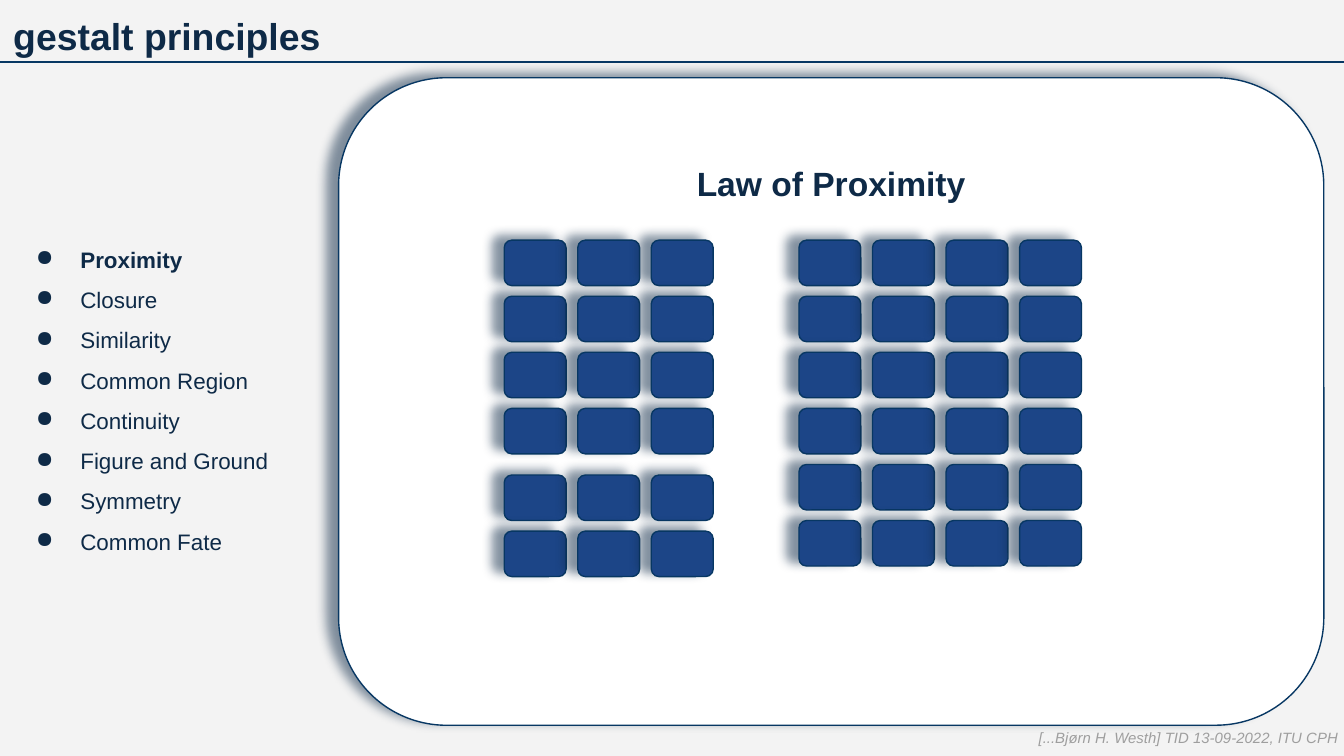
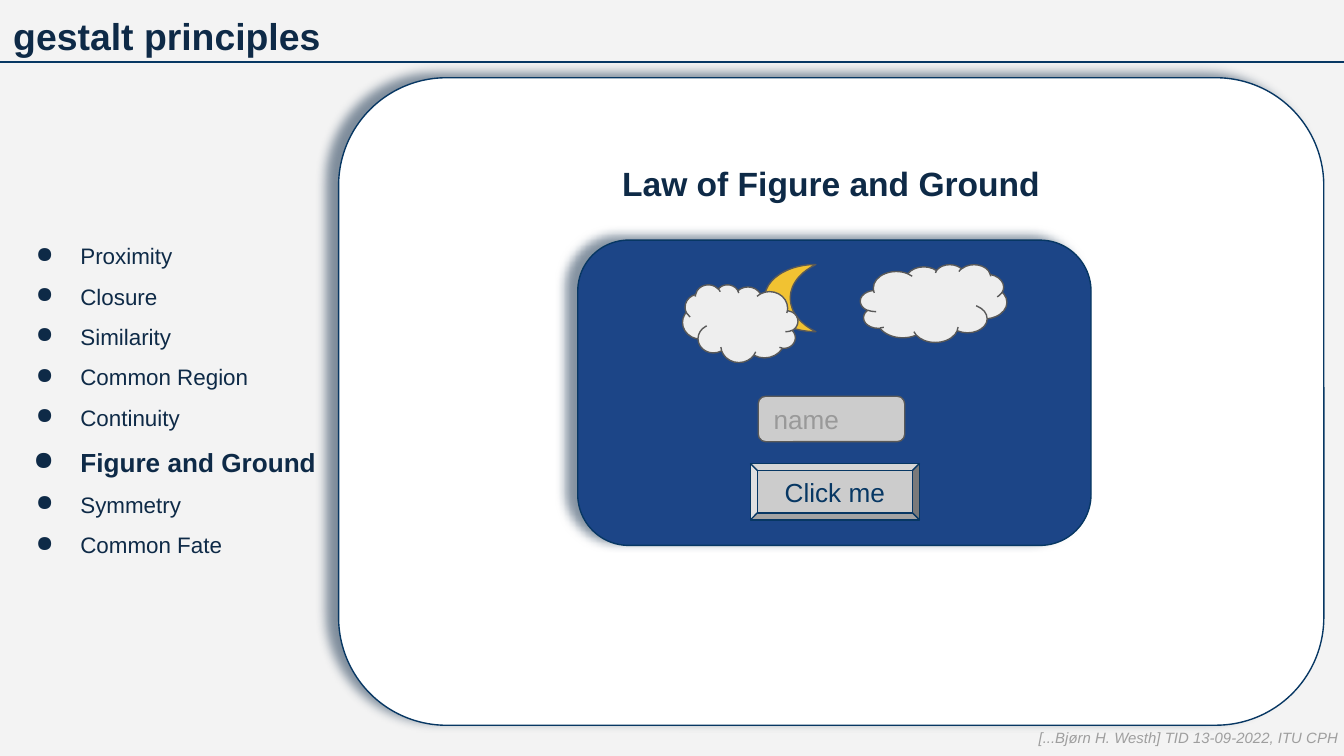
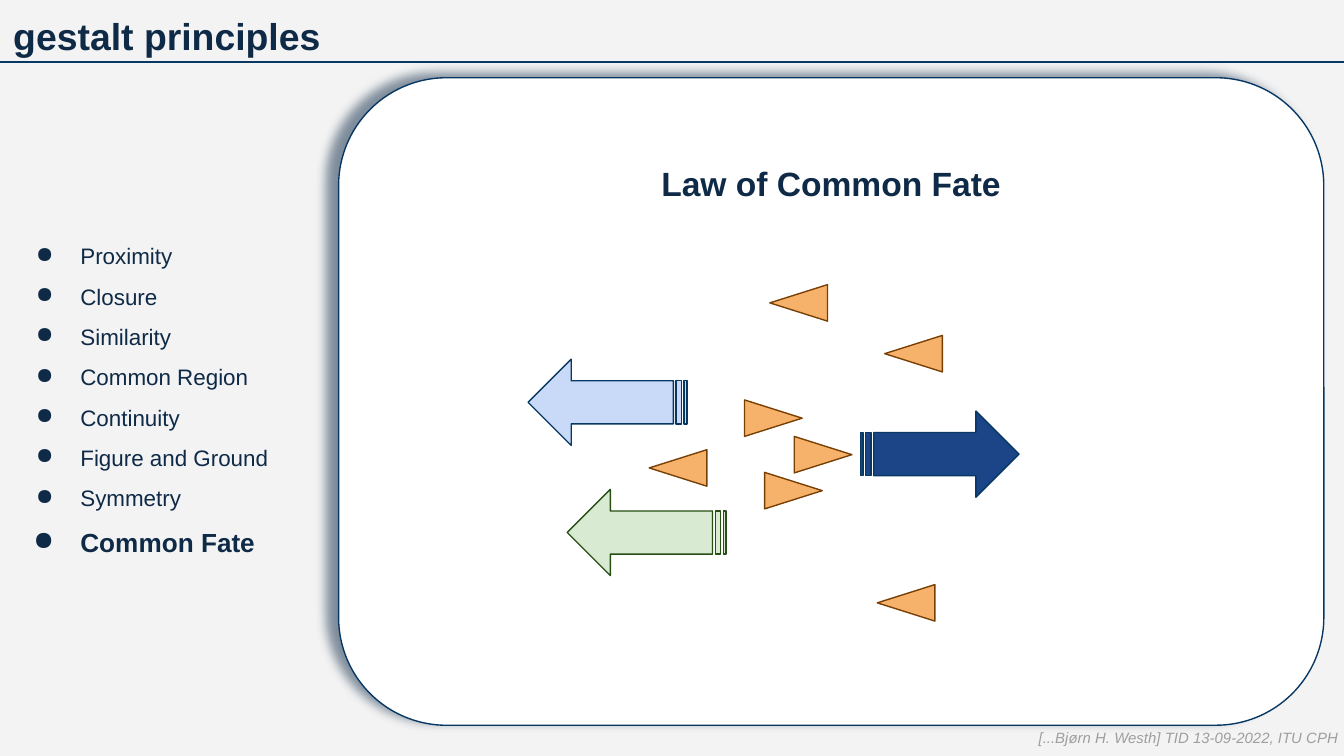
from dataclasses import dataclass

from lxml import etree
from pptx import Presentation
from pptx.dml.color import RGBColor
from pptx.enum.shapes import MSO_CONNECTOR, MSO_SHAPE
from pptx.enum.text import MSO_ANCHOR, MSO_AUTO_SIZE, PP_ALIGN
from pptx.oxml.ns import qn
from pptx.util import Cm, Pt

RECTANGLE = MSO_SHAPE.RECTANGLE
ROUNDED = MSO_SHAPE.ROUNDED_RECTANGLE
CLOUD = MSO_SHAPE.CLOUD
MOON = MSO_SHAPE.MOON
BEVEL = MSO_SHAPE.BEVEL
STRIPED_ARROW = MSO_SHAPE.STRIPED_RIGHT_ARROW
TRIANGLE = MSO_SHAPE.FLOWCHART_EXTRACT
STRAIGHT = MSO_CONNECTOR.STRAIGHT
TOP, MIDDLE = MSO_ANCHOR.TOP, MSO_ANCHOR.MIDDLE
LEFT, CENTER = PP_ALIGN.LEFT, PP_ALIGN.CENTER
NO_AUTOFIT, GROW = MSO_AUTO_SIZE.NONE, MSO_AUTO_SIZE.SHAPE_TO_FIT_TEXT
TITLE_ONLY = 5


@dataclass(frozen=True)
class Theme:
    """Colours, font and type sizes shared by all slides."""

    font: str = "Arial"
    background: str = "F3F3F3"
    ink: str = "0E2A47"
    outline: str = "073763"
    panel: str = "FFFFFF"
    navy: str = "1C4587"
    footer: str = "9E9E9E"
    grey_outline: str = "595959"
    cloud: str = "EEEEEE"
    moon: str = "F1C232"
    control: str = "CCCCCC"
    hint: str = "999999"
    sky: str = "C9DAF8"
    mint: str = "D9EAD3"
    forest: str = "274E13"
    orange: str = "F6B26B"
    brown: str = "783F04"
    title_size: int = 20
    law_size: int = 18
    control_size: int = 14
    active_size: int = 14
    list_size: int = 12
    footer_size: int = 8
    line_width: float = 0.75
    inset: float = 0.25


THEME = Theme()
PRINCIPLES = ("Proximity", "Closure", "Similarity", "Common Region",
              "Continuity", "Figure and Ground", "Symmetry", "Common Fate")


def rgb(colour):
    """Turn a hex string into a colour."""
    return RGBColor.from_string(colour)


def add_run(paragraph, text, size, colour=THEME.ink, bold=False, italic=False):
    """Add one formatted run to a paragraph."""
    run = paragraph.add_run()
    run.text = text
    run.font.name = THEME.font
    run.font.size = Pt(size)
    run.font.bold = bold
    run.font.italic = italic
    run.font.color.rgb = rgb(colour)


def prepare_frame(holder, anchor=TOP, autofit=NO_AUTOFIT):
    """Set insets, wrapping and anchor, and return the text frame."""
    frame = holder.text_frame
    frame.word_wrap = True
    frame.auto_size = autofit
    frame.vertical_anchor = anchor
    frame.margin_left = frame.margin_right = Cm(THEME.inset)
    frame.margin_top = frame.margin_bottom = Cm(THEME.inset)
    return frame


def add_figure(slide, kind, box, fill, outline=THEME.outline, rotation=0):
    """Add a flat preset shape; box holds left, top, width, height in cm."""
    figure = slide.shapes.add_shape(kind, *map(Cm, box))
    figure.shadow.inherit = False
    figure.rotation = rotation
    figure.fill.solid()
    figure.fill.fore_color.rgb = rgb(fill)
    if outline:
        figure.line.color.rgb = rgb(outline)
        figure.line.width = Pt(THEME.line_width)
    else:
        figure.line.fill.background()
    return figure


def add_raised_card(slide, box, fill):
    """Add a rounded card with a soft shadow to its left."""
    card = add_figure(slide, ROUNDED, box, fill)
    effects = card.element.spPr.find(qn("a:effectLst"))
    shadow = etree.SubElement(
        effects, qn("a:outerShdw"), blurRad=str(Pt(5.6)), dist=str(Pt(6.8)),
        dir=str(199 * 60000), algn="bl", rotWithShape="0")
    colour = etree.SubElement(shadow, qn("a:srgbClr"), val=THEME.ink)
    etree.SubElement(colour, qn("a:alpha"), val="51000")
    return card


def add_label(figure, text, size, colour, align=CENTER, anchor=MIDDLE,
              bold=False, spacing=1.0):
    """Write a single line of text inside a shape."""
    paragraph = prepare_frame(figure, anchor).paragraphs[0]
    paragraph.alignment = align
    paragraph.line_spacing = spacing
    add_run(paragraph, text, size, colour, bold)


def set_bullet(paragraph, hanging):
    """Give a paragraph a round bullet with a hanging indent in cm."""
    properties = paragraph._p.get_or_add_pPr()
    properties.set("marL", str(Cm(1.27)))
    properties.set("indent", str(-Cm(hanging)))
    colour = etree.SubElement(properties, qn("a:buClr"))
    etree.SubElement(colour, qn("a:srgbClr"), val=THEME.ink)
    etree.SubElement(properties, qn("a:buChar"), char="●")


def add_principle_list(slide, active, active_size):
    """List the principles and emphasise the active one."""
    sidebar = add_figure(slide, RECTANGLE, (0, 1.27, 6.4, 12.34),
                         THEME.background, outline=None)
    frame = prepare_frame(sidebar, MIDDLE)
    for index, principle in enumerate(PRINCIPLES):
        paragraph = frame.add_paragraph() if index else frame.paragraphs[0]
        is_active = principle == active
        size = active_size if is_active else THEME.list_size
        paragraph.alignment = LEFT
        paragraph.line_spacing = 1.5
        paragraph.space_before = Pt(0 if index else 10)
        set_bullet(paragraph, 0.89 if size > THEME.list_size else 0.84)
        add_run(paragraph, principle, size, bold=is_active)


def set_title(slide, text):
    """Place and fill the title placeholder."""
    title = slide.shapes.title
    title.left, title.top, title.width, title.height = map(
        Cm, (0, 0, 25.4, 1.27))
    paragraph = prepare_frame(title).paragraphs[0]
    paragraph.alignment = LEFT
    add_run(paragraph, text, THEME.title_size, bold=True)


def add_title_rule(slide):
    """Draw the line below the title."""
    rule = slide.shapes.add_connector(
        STRAIGHT, Cm(0), Cm(1.17), Cm(25.4), Cm(1.17))
    rule.line.color.rgb = rgb(THEME.outline)
    rule.line.width = Pt(THEME.line_width)
    etree.SubElement(rule.element.spPr, qn("a:effectLst"))


def add_footer(slide):
    """Add the credit line at the bottom right."""
    footer = slide.shapes.add_textbox(*map(Cm, (19.38, 13.61, 6.27, 0.86)))
    paragraph = prepare_frame(footer, autofit=GROW).paragraphs[0]
    add_run(paragraph, "[...Bjørn H. Westh] TID 13-09-2022, ITU CPH",
            THEME.footer_size, THEME.footer, italic=True)


def add_principle_slide(deck, principle, active_size=THEME.active_size):
    """Add a slide with the title, principle list, law panel and footer."""
    slide = deck.slides.add_slide(deck.slide_layouts[TITLE_ONLY])
    set_title(slide, "gestalt principles")
    add_principle_list(slide, principle, active_size)
    panel = add_raised_card(slide, (6.4, 1.47, 18.62, 12.24), THEME.panel)
    add_label(panel, f"Law of {principle}", THEME.law_size, THEME.ink,
              anchor=TOP, bold=True, spacing=2.0)
    add_title_rule(slide)
    add_footer(slide)
    return slide


def add_tile_grid(slide, left, top, columns, rows):
    """Fill a grid with evenly spaced tiles, column by column."""
    for column in range(columns):
        for row in range(rows):
            box = (left + column * 1.39, top + row * 1.06, 1.17, 0.86)
            add_raised_card(slide, box, THEME.navy)


def draw_proximity(slide):
    """Show two tile groups, the left one split by a wider gap."""
    add_tile_grid(slide, 9.53, 4.54, columns=3, rows=4)
    add_tile_grid(slide, 9.53, 8.98, columns=3, rows=2)
    add_tile_grid(slide, 15.1, 4.54, columns=4, rows=6)


def draw_figure_and_ground(slide):
    """Show a night sky card with a name field and a button."""
    add_raised_card(slide, (10.92, 4.54, 9.7, 5.77), THEME.navy)
    add_figure(slide, CLOUD, (16.26, 5, 2.77, 1.47),
               THEME.cloud, THEME.grey_outline)
    add_figure(slide, MOON, (14.45, 5, 0.97, 1.27),
               THEME.moon, THEME.grey_outline)
    near_cloud = add_figure(slide, CLOUD, (12.9, 5.38, 2.18, 1.47),
                            THEME.cloud, THEME.grey_outline)
    near_cloud.element.spPr.find(qn("a:xfrm")).set("flipH", "1")
    button = add_figure(slide, BEVEL, (14.18, 8.76, 3.2, 1.07), THEME.control)
    add_label(button, "Click me", THEME.control_size, THEME.outline)
    name_field = add_figure(slide, ROUNDED, (14.33, 7.49, 2.77, 0.86),
                            THEME.control, THEME.grey_outline)
    add_label(name_field, "name", THEME.control_size, THEME.hint, LEFT)


def draw_common_fate(slide):
    """Show arrows and triangles that move in two directions."""
    arrows = ((16.26, 7.77, 0, THEME.navy, THEME.outline),
              (10.72, 9.25, 180, THEME.mint, THEME.forest),
              (9.98, 6.79, 180, THEME.sky, THEME.outline))
    for left, top, rotation, fill, outline in arrows:
        add_figure(slide, STRIPED_ARROW, (left, top, 3, 1.63),
                   fill, outline, rotation)
    movers = {90: ((14.27, 7.36), (14.65, 8.73), (15.21, 8.05)),
              270: ((16.92, 6.14), (14.75, 5.18), (16.78, 10.85),
                    (12.47, 8.3))}
    for rotation, places in movers.items():
        for left, top in places:
            add_figure(slide, TRIANGLE, (left, top, 0.69, 1.09),
                       THEME.orange, THEME.brown, rotation)


def main():
    """Build and save the deck."""
    deck = Presentation()
    deck.slide_width, deck.slide_height = Cm(25.4), Cm(14.29)
    backdrop = deck.slide_master.background.fill
    backdrop.solid()
    backdrop.fore_color.rgb = rgb(THEME.background)
    draw_proximity(add_principle_slide(deck, "Proximity", THEME.list_size))
    draw_figure_and_ground(add_principle_slide(deck, "Figure and Ground"))
    draw_common_fate(add_principle_slide(deck, "Common Fate"))
    deck.save("out.pptx")


main()
